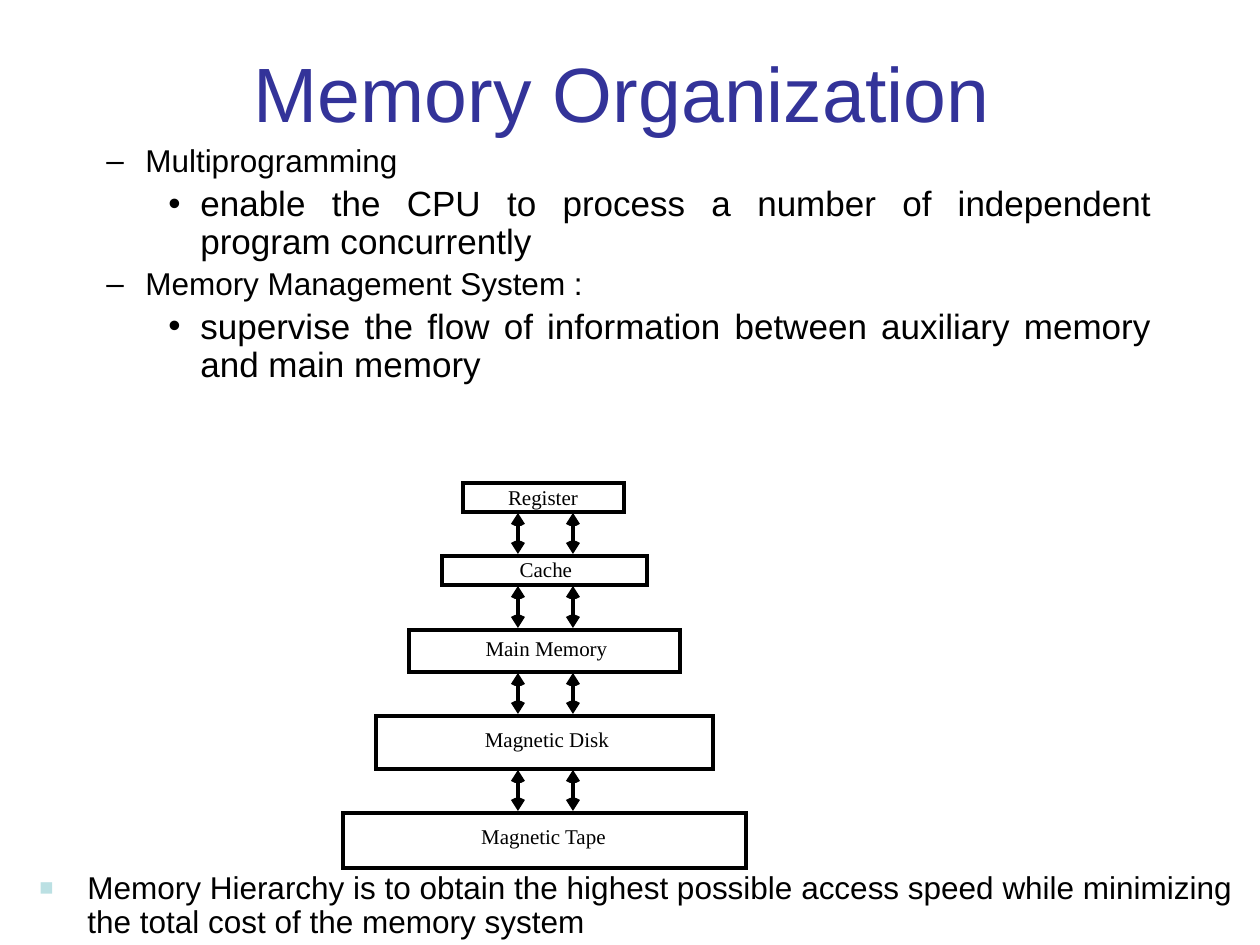
from dataclasses import dataclass
from itertools import pairwise

from lxml.etree import SubElement
from pptx import Presentation
from pptx.dml.color import RGBColor
from pptx.enum.shapes import MSO_CONNECTOR as Connector, MSO_SHAPE as Preset
from pptx.enum.text import MSO_ANCHOR as Anchor, PP_ALIGN as Align
from pptx.oxml.ns import qn
from pptx.util import Emu, Pt

EMU_PER_PX = 914400 / 126
COLORS = {"ink": "000000", "title": "333399", "marker": "BBE0E3"}
SANS, SERIF = "Arial", "Times New Roman"
LINE_WIDTH = Pt(2)
LINE_SPACING = 0.9
GAP_RATIO = 0.2  # space before a paragraph, as a share of its text size


@dataclass(frozen=True)
class Bullet:
    char: str
    margin: int
    hanging: int
    size: int
    align: Align = Align.LEFT
    color: str = "ink"
    percent: int = 100


@dataclass(frozen=True)
class Level:
    name: str
    left: int
    top: int
    width: int
    height: int
    label_left: int
    label_top: int
    label_width: int

    @property
    def bottom(self) -> int:
        return self.top + self.height


DASH = Bullet("–", 103, 39, 18)
DOT = Bullet("•", 158, 32, 20, Align.JUSTIFY)
SQUARE = Bullet("■", 48, 48, 18, color="marker", percent=75)

POINTS = [
    (DASH, "Multiprogramming"),
    (DOT, "enable the CPU to process a number of independent program concurrently"),
    (DASH, "Memory Management System :"),
    (DOT, "supervise the flow of information between auxiliary memory and main memory"),
]
SUMMARY = [
    (SQUARE, "Memory Hierarchy is to obtain the highest possible access speed "
             "while minimizing the total cost of the memory system"),
]
LEVELS = [
    Level("Register", 463, 483, 161, 29, 489, 481, 108),
    Level("Cache", 442, 556, 205, 29, 502, 553, 88),
    Level("Main Memory", 409, 630, 271, 42, 467, 632, 159),
    Level("Magnetic Disk", 376, 716, 337, 53, 464, 723, 166),
    Level("Magnetic Tape", 343, 813, 403, 55, 458, 820, 171),
]
LABEL_HEIGHT = 35
ARROW_COLUMNS = (518, 573)
# Arrowhead outline, measured from its tip
HEAD_OUTLINE = [(7, 11), (3, 13), (-3, 13), (-7, 11)]
HEAD_LENGTH = 12


def px(value: int) -> Emu:
    return Emu(round(value * EMU_PER_PX))


def rgb(name: str) -> RGBColor:
    return RGBColor.from_string(COLORS[name])


def add_box(page, left: int, top: int, width: int, height: int, wrap: bool = True):
    box = page.shapes.add_textbox(px(left), px(top), px(width), px(height))
    box.text_frame.word_wrap = wrap
    return box.text_frame


def add_span(para, text: str, size: int, font: str, color: str = "ink") -> None:
    span = para.add_run()
    span.text = text
    span.font.size = Pt(size)
    span.font.name = font
    span.font.color.rgb = rgb(color)


def set_bullet(para, bullet: Bullet) -> None:
    props = para._p.get_or_add_pPr()
    props.set("marL", str(px(bullet.margin)))
    props.set("indent", str(-px(bullet.hanging)))
    color = SubElement(props, qn("a:buClr"))
    SubElement(color, qn("a:srgbClr"), val=COLORS[bullet.color])
    SubElement(props, qn("a:buSzPct"), val=str(bullet.percent * 1000))
    SubElement(props, qn("a:buFont"), typeface=SANS)
    SubElement(props, qn("a:buChar"), char=bullet.char)


def add_bullets(frame, items: list[tuple[Bullet, str]]) -> None:
    for index, (bullet, text) in enumerate(items):
        para = frame.add_paragraph() if index else frame.paragraphs[0]
        set_bullet(para, bullet)
        para.alignment = bullet.align
        para.line_spacing = LINE_SPACING
        if index:
            para.space_before = Pt(bullet.size * GAP_RATIO)
        add_span(para, text, bullet.size, SANS)


def add_level(page, level: Level) -> None:
    frame = page.shapes.add_shape(Preset.RECTANGLE, px(level.left), px(level.top),
                                  px(level.width), px(level.height))
    frame.shadow.inherit = False
    frame.fill.background()
    frame.line.color.rgb = rgb("ink")
    frame.line.width = LINE_WIDTH
    SubElement(frame.line._get_or_add_ln(), qn("a:miter"), lim="800000")
    label = add_box(page, level.label_left, level.label_top,
                    level.label_width, LABEL_HEIGHT, wrap=False)
    para = label.paragraphs[0]
    para.alignment = Align.CENTER
    para.line_spacing = LINE_SPACING
    add_span(para, level.name, 12, SERIF)


def add_head(page, x: int, tip: int, direction: int) -> None:
    builder = page.shapes.build_freeform(x, tip, scale=EMU_PER_PX)
    builder.add_line_segments([(x + dx, tip + direction * dy) for dx, dy in HEAD_OUTLINE])
    head = builder.convert_to_shape()
    head.shadow.inherit = False
    head.fill.solid()
    head.fill.fore_color.rgb = rgb("ink")
    head.line.fill.background()


def add_double_arrow(page, x: int, top: int, bottom: int) -> None:
    add_head(page, x, bottom, -1)
    add_head(page, x, top, 1)
    shaft = page.shapes.add_connector(Connector.STRAIGHT, px(x), px(top + HEAD_LENGTH),
                                      px(x), px(bottom - HEAD_LENGTH))
    shaft.line.color.rgb = rgb("ink")
    shaft.line.width = LINE_WIDTH
    SubElement(shaft._element.spPr, qn("a:effectLst"))


def main() -> None:
    deck = Presentation()
    deck.slide_width, deck.slide_height = px(1260), px(945)
    page = deck.slides.add_slide(deck.slide_layouts[6])

    # Bullet points and closing remark
    add_bullets(add_box(page, 30, 139, 1134, 624), POINTS)
    add_bullets(add_box(page, 27, 866, 1239, 79), SUMMARY)

    # Memory hierarchy
    for level in LEVELS:
        add_level(page, level)
    for upper, lower in pairwise(LEVELS):
        for x in ARROW_COLUMNS:
            add_double_arrow(page, x, upper.bottom + 1, lower.top - 2)

    # Title
    title = add_box(page, 55, 13, 1134, 158)
    title.vertical_anchor = Anchor.MIDDLE
    title.paragraphs[0].alignment = Align.CENTER
    add_span(title.paragraphs[0], "Memory Organization", 44, SANS, "title")

    deck.save("out.pptx")


if __name__ == "__main__":
    main()
